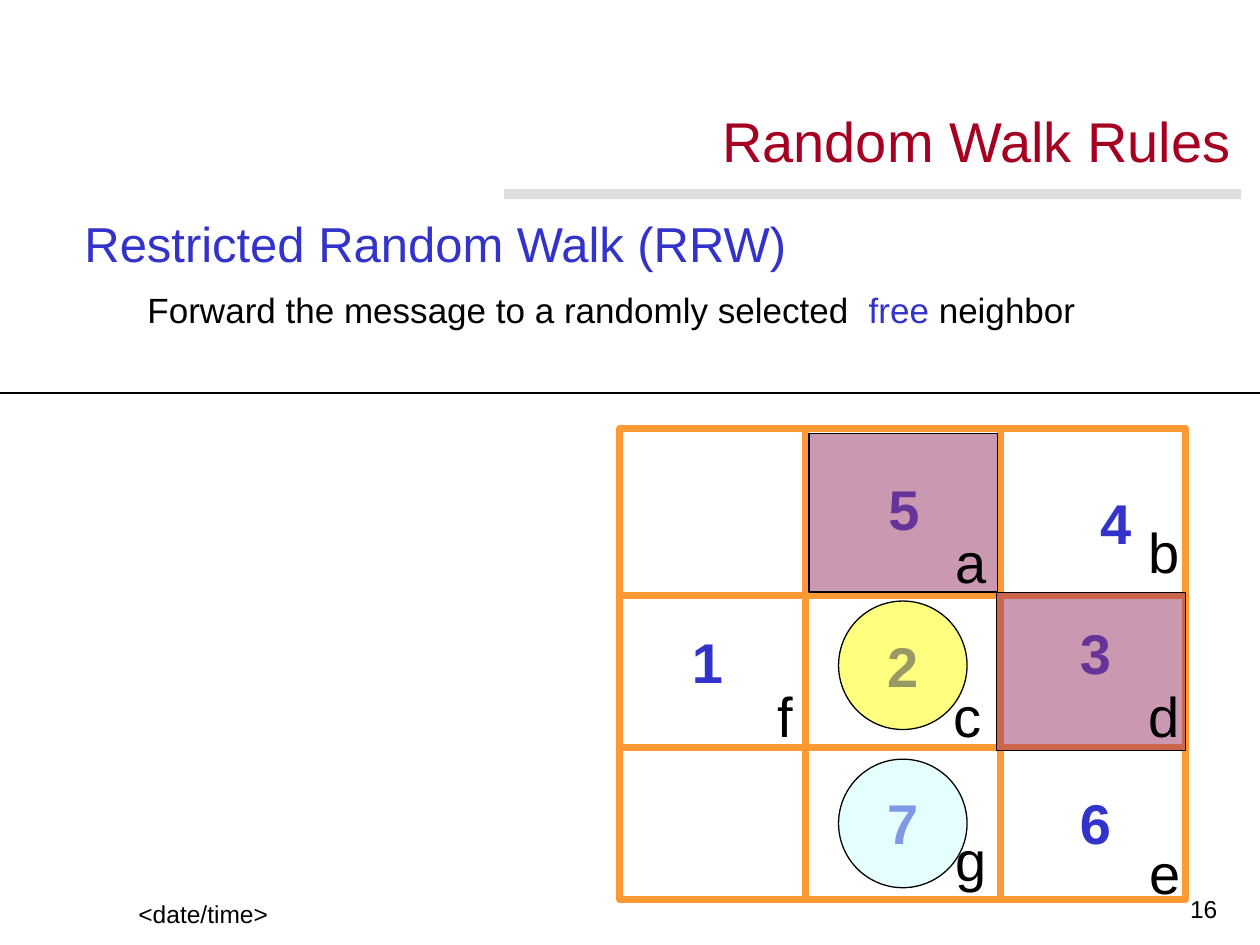
"""Build the Random Walk Rules slide with its three by three walk grid."""
from lxml import etree
from pptx import Presentation
from pptx import util as u
from pptx.dml.color import RGBColor
from pptx.enum import shapes, text
from pptx.oxml.ns import qn

COLORS = {"black": "000000", "blue": "3333CC", "red": "A50021", "grey": "C0C0C0",
          "orange": "FF9933", "yellow": "FFFF00", "cyan": "CCFFFF", "plum": "993366"}
TITLE = [[("Random Walk Rules", "red", 32)]]
BODY = [
    [("Restricted Random Walk (RRW)", "blue", 28)],
    [("Forward the message to a randomly selected  ", "black", 20),
     ("free", "blue", 20), (" neighbor", "black", 20)],
]
COLUMNS = [4.92, 6.39, 7.94, 9.41]
ROWS = [3.4, 4.73, 5.93, 7.14]
NUMBERS = [("1", 0, 1, -0.04, -0.08), ("4", 2, 0, 0.18, 0.08), ("5", 1, 0, 0.01, -0.03),
           ("7", 1, 2, 0, -0.01), ("3", 2, 1, 0.02, -0.15), ("2", 1, 1, 0, -0.05),
           ("6", 2, 2, 0.02, -0.01)]
CIRCLES = [("yellow", 1, 1, -0.05), ("cyan", 1, 2, 0)]
BLOCKED = [(1, 0, 0.03, 0.04), (2, 1, -0.03, -0.03)]
LETTERS = [("f", 0, 1, -0.16, -0.25), ("a", 1, 0, -0.23, -0.27), ("b", 2, 0, -0.17, -0.35),
           ("c", 1, 1, -0.26, -0.25), ("d", 2, 1, -0.17, -0.25), ("g", 1, 2, -0.23, -0.32),
           ("e", 2, 2, -0.16, -0.21)]
LABEL_WIDTH, LABEL_HEIGHT = 0.45, 0.64
CIRCLE, BLOCK_WIDTH, BLOCK_HEIGHT = 1.02, 1.5, 1.26


def rgb(name):
    return RGBColor.from_string(COLORS[name])


def inches(*lengths):
    return [u.Inches(length) for length in lengths]


def center(column, row):
    return (COLUMNS[column] + COLUMNS[column + 1]) / 2, (ROWS[row] + ROWS[row + 1]) / 2


def format_run(run, color, size, bold=False):
    for name, value in {"name": "Arial", "size": u.Pt(size), "bold": bold}.items():
        setattr(run.font, name, value)
    run.font.color.rgb = rgb(color)


def fill_placeholder(shape, box, paragraphs, align, indents):
    shape.left, shape.top, shape.width, shape.height = inches(*box)
    frame = shape.text_frame
    settings = {"margin_left": 0, "margin_right": 0, "margin_top": 0, "margin_bottom": 0,
                "vertical_anchor": text.MSO_ANCHOR.TOP, "word_wrap": True,
                "auto_size": text.MSO_AUTO_SIZE.NONE}
    for name, value in settings.items():
        setattr(frame, name, value)
    for index, (runs, indent) in enumerate(zip(paragraphs, indents)):
        paragraph = frame.add_paragraph() if index else frame.paragraphs[0]
        properties = paragraph._p.get_or_add_pPr()
        properties.set("marL", str(u.Inches(indent)))
        properties.set("indent", "0")
        etree.SubElement(properties, qn("a:buNone"))
        spacing = {"alignment": align, "line_spacing": u.Pt(33.2),
                   "space_before": u.Pt(0), "space_after": u.Pt(0)}
        for name, value in spacing.items():
            setattr(paragraph, name, value)
        for words, color, size in runs:
            run = paragraph.add_run()
            run.text = words
            format_run(run, color, size)


def add_text(slide, words, box, color, size, align, anchor=text.MSO_ANCHOR.TOP, bold=False):
    frame = slide.shapes.add_textbox(*inches(*box)).text_frame
    frame.word_wrap = True
    frame.vertical_anchor = anchor
    paragraph = frame.paragraphs[0]
    paragraph.alignment = align
    run = paragraph.add_run()
    run.text = words
    format_run(run, color, size, bold)


def add_label(slide, words, x, y, color, bold):
    box = (x - LABEL_WIDTH / 2, y - LABEL_HEIGHT / 2, LABEL_WIDTH, LABEL_HEIGHT)
    add_text(slide, words, box, color, 32, text.PP_ALIGN.CENTER, bold=bold)


def add_shape(slide, kind, box, fill=None, line=None, width=0.75):
    shape = slide.shapes.add_shape(kind, *inches(*box))
    shape.shadow.inherit = False
    if fill:
        shape.fill.solid()
        shape.fill.fore_color.rgb = rgb(fill)
        color = shape.fill._xPr.find(qn("a:solidFill"))[0]
        etree.SubElement(color, qn("a:alpha"), val="50000")
    else:
        shape.fill.background()
    if line:
        shape.line.color.rgb = rgb(line)
        shape.line.width = u.Pt(width)
    else:
        shape.line.fill.background()
    return shape


def add_line(slide, start, end, color, width):
    line = slide.shapes.add_connector(shapes.MSO_CONNECTOR.STRAIGHT, *inches(*start, *end))
    line.line.color.rgb = rgb(color)
    line.line.width = u.Pt(width)
    etree.SubElement(line._element.spPr, qn("a:effectLst"))


def add_grid(slide):
    left, *inner_columns, right = COLUMNS
    top, *inner_rows, bottom = ROWS
    add_shape(slide, shapes.MSO_SHAPE.RECTANGLE, (left, top, right - left, bottom - top),
              line="orange", width=4)
    for x in inner_columns:
        add_line(slide, (x, bottom), (x, top), "orange", 4)
    for y in inner_rows:
        add_line(slide, (right, y), (left, y), "orange", 4)
    for number, column, row, shift_x, shift_y in NUMBERS:
        x, y = center(column, row)
        add_label(slide, number, x + shift_x, y + shift_y, "blue", True)
    for color, column, row, shift in CIRCLES:
        x, y = center(column, row)
        box = (x - CIRCLE / 2, y - CIRCLE / 2 + shift, CIRCLE, CIRCLE)
        add_shape(slide, shapes.MSO_SHAPE.OVAL, box, color, "black")
    for column, row, shift_x, shift_y in BLOCKED:
        box = (COLUMNS[column] + shift_x, ROWS[row] + shift_y, BLOCK_WIDTH, BLOCK_HEIGHT)
        add_shape(slide, shapes.MSO_SHAPE.RECTANGLE, box, "plum", "black")
    for letter, column, row, shift_x, shift_y in LETTERS:
        add_label(slide, letter, COLUMNS[column + 1] + shift_x, ROWS[row + 1] + shift_y,
                  "black", False)


def main():
    presentation = Presentation()
    presentation.slide_width, presentation.slide_height = inches(10, 7.5)
    slide = presentation.slides.add_slide(presentation.slide_layouts[1])
    title, body = slide.placeholders
    fill_placeholder(title, (5.59, 0.92, 4.18, 0.46), TITLE, text.PP_ALIGN.RIGHT, [0])
    fill_placeholder(body, (0.67, 1.7, 8.19, 0.93), BODY, text.PP_ALIGN.LEFT, [0, 0.5])
    bar = add_shape(slide, shapes.MSO_SHAPE.ROUNDED_RECTANGLE, (4, 1.5, 5.85, 0.08), "grey")
    bar.adjustments[0] = 0.02
    bottom = text.MSO_ANCHOR.BOTTOM
    add_text(slide, "16", (7.68, 7.04, 2.08, 0.34), "black", 14, text.PP_ALIGN.RIGHT, bottom)
    add_text(slide, "<date/time>", (1, 6.92, 2.08, 0.5), "black", 14, text.PP_ALIGN.LEFT, bottom)
    add_line(slide, (0, 3.12), (10, 3.12), "black", 0.75)
    add_grid(slide)
    presentation.save("out.pptx")


if __name__ == "__main__":
    main()
